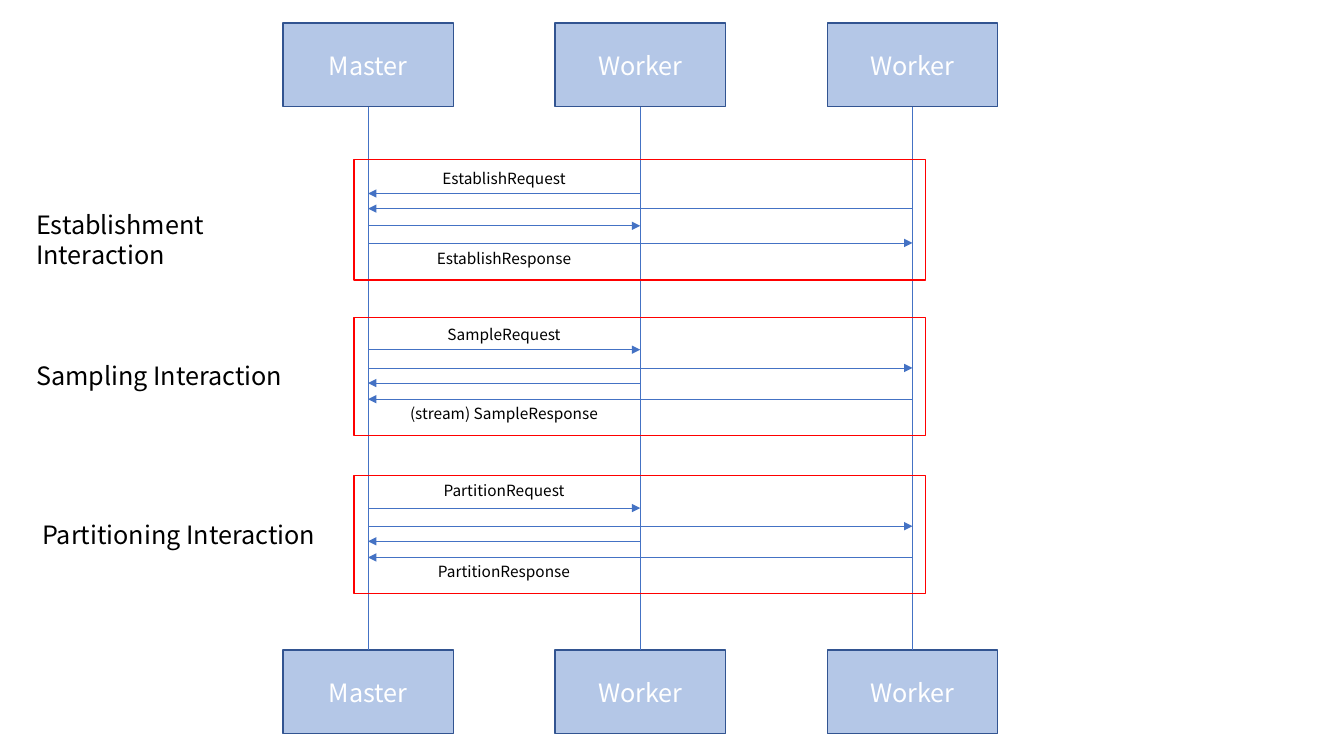
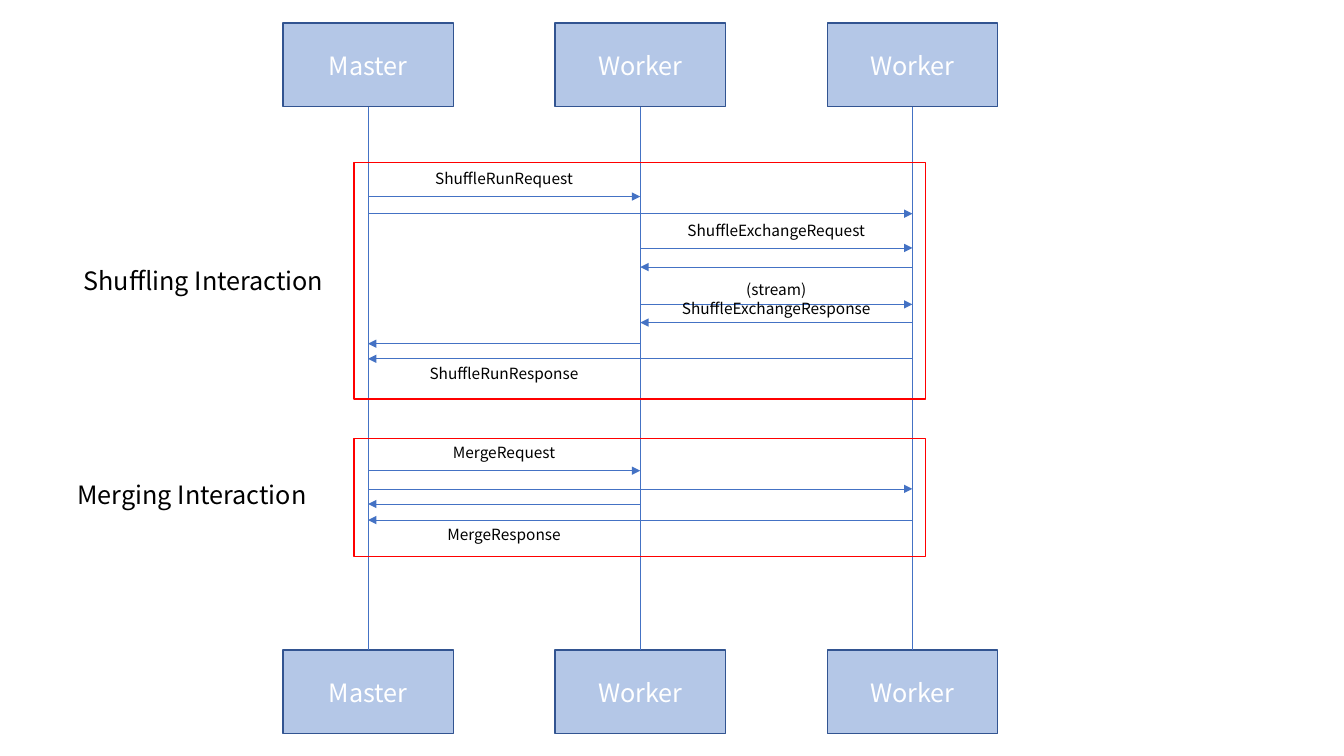
from lxml import etree
from pptx import Presentation
from pptx.dml.color import RGBColor
from pptx.enum.shapes import MSO_CONNECTOR, MSO_SHAPE
from pptx.enum.text import MSO_ANCHOR, PP_ALIGN
from pptx.oxml.ns import qn
from pptx.util import Inches, Pt

STRAIGHT = MSO_CONNECTOR.STRAIGHT
RECTANGLE = MSO_SHAPE.RECTANGLE
TOP, MIDDLE = MSO_ANCHOR.TOP, MSO_ANCHOR.MIDDLE
LEFT, CENTER = PP_ALIGN.LEFT, PP_ALIGN.CENTER

COLORS = {
    "box": "B4C7E7",
    "box_line": "325491",
    "message": "4472C4",
    "frame": "FF0000",
    "text": "000000",
    "box_text": "FFFFFF",
}
FONT = "Noto Sans CJK KR"
GRID = 0.1
LANE_START, LANE_GAP = 36.5, 27
BOX_WIDTH, BOX_HEIGHT = 16.9, 8.3
BOX_ROWS = (2.3, 64.5)
FRAME_LEFT, FRAME_WIDTH, FRAME_HEIGHT = 35.1, 56.7, 11.7
MASTER, NEAR, FAR = range(3)
ROLES = ("Master", "Worker", "Worker")

ROUND_TRIP = (
    (MASTER, NEAR, 3.2),
    (MASTER, FAR, 5),
    (NEAR, MASTER, 6.5),
    (FAR, MASTER, 8.1),
)
ESTABLISH = (
    (NEAR, MASTER, 3.4),
    (FAR, MASTER, 4.9),
    (MASTER, NEAR, 6.6),
    (MASTER, FAR, 8.3),
)
SHUFFLE = (
    (MASTER, NEAR, 3.4),
    (MASTER, FAR, 5.1),
    (NEAR, FAR, 8.5),
    (FAR, NEAR, 10.4),
    (NEAR, FAR, 14.1),
    (FAR, NEAR, 15.9),
    (NEAR, MASTER, 18),
    (FAR, MASTER, 19.5),
)


def cells(count):
    return Inches(count * GRID)


def lane(index):
    return LANE_START + index * LANE_GAP


def write(shape, text, size=18, color="text", align=LEFT, anchor=TOP):
    frame = shape.text_frame
    frame.word_wrap = True
    frame.vertical_anchor = anchor
    para = frame.paragraphs[0]
    para.alignment = align
    span = para.add_run()
    span.text = text
    span.font.name = FONT
    span.font.size = Pt(size)
    span.font.color.rgb = RGBColor.from_string(COLORS[color])
    properties = span.font._element
    for tag in ("a:ea", "a:cs"):
        etree.SubElement(properties, qn(tag)).set("typeface", FONT)


class SequenceDeck:
    def __init__(self):
        self.deck = Presentation()
        self.deck.slide_width = Inches(13.33)
        self.deck.slide_height = Inches(7.5)
        self.shapes = None

    def page(self):
        self.shapes = self.deck.slides.add_slide(self.deck.slide_layouts[6]).shapes
        for index, role in enumerate(ROLES):
            for row in BOX_ROWS:
                box = self.rectangle(lane(index) - BOX_WIDTH / 2, row,
                                     BOX_WIDTH, BOX_HEIGHT, "box_line", "box")
                write(box, role, color="box_text", align=CENTER, anchor=MIDDLE)
            self.line(lane(index), BOX_ROWS[0] + BOX_HEIGHT, lane(index), BOX_ROWS[1])

    def rectangle(self, left, top, width, height, line, fill=None):
        box = self.shapes.add_shape(RECTANGLE, *map(cells, (left, top, width, height)))
        box.shadow.inherit = False
        if fill:
            box.fill.solid()
            box.fill.fore_color.rgb = RGBColor.from_string(COLORS[fill])
        else:
            box.fill.background()
        box.line.color.rgb = RGBColor.from_string(COLORS[line])
        box.line.width = Pt(1)
        return box

    def line(self, left, top, right, bottom, arrow=False):
        line = self.shapes.add_connector(STRAIGHT, *map(cells, (left, top, right, bottom)))
        line.line.color.rgb = RGBColor.from_string(COLORS["message"])
        line.line.width = Pt(0.5)
        if arrow:
            etree.SubElement(line.line._get_or_add_ln(), qn("a:tailEnd")).set("type", "triangle")
        etree.SubElement(line._element.spPr, qn("a:effectLst"))

    def text(self, left, top, width, height, text, **style):
        box = self.shapes.add_textbox(*map(cells, (left, top, width, height)))
        write(box, text, **style)

    def label(self, start, row, text):
        self.text(lane(start), row, LANE_GAP, 2.9, text, size=11, align=CENTER)

    def heading(self, left, top, text, width=31.7):
        self.text(left, top, width, 4, text)

    def exchange(self, top, messages, labels, height=FRAME_HEIGHT):
        for start, end, offset in messages:
            self.line(lane(start), top + offset, lane(end), top + offset, arrow=True)
        for start, offset, text in labels:
            self.label(start, top + offset, text)
        self.rectangle(FRAME_LEFT, top, FRAME_WIDTH, height, "frame")


def main():
    sequence = SequenceDeck()

    sequence.page()
    sequence.exchange(15.8, ESTABLISH, (
        (MASTER, 0.5, "EstablishRequest"),
        (MASTER, 8.4, "EstablishResponse"),
    ), height=12)
    sequence.exchange(31.5, ROUND_TRIP, (
        (MASTER, 0.3, "SampleRequest"),
        (MASTER, 8.1, "(stream) SampleResponse"),
    ))
    sequence.exchange(47.2, ROUND_TRIP, (
        (MASTER, 0, "PartitionRequest"),
        (MASTER, 8.1, "PartitionResponse"),
    ))
    sequence.heading(2.6, 20.3, "Establishment Interaction")
    sequence.heading(2.6, 35.3, "Sampling Interaction")
    sequence.heading(3.2, 51, "Partitioning Interaction")

    sequence.page()
    sequence.exchange(16.1, SHUFFLE, (
        (MASTER, 0.2, "ShuffleRunRequest"),
        (NEAR, 5.3, "ShuffleExchangeRequest"),
        (NEAR, 11.2, "(stream) ShuffleExchangeResponse"),
        (MASTER, 19.5, "ShuffleRunResponse"),
    ), height=23.5)
    sequence.exchange(43.5, ROUND_TRIP, (
        (MASTER, 0, "MergeRequest"),
        (MASTER, 8.1, "MergeResponse"),
    ))
    sequence.heading(7.3, 25.8, "Shuffling Interaction", width=27.1)
    sequence.heading(6.7, 47.1, "Merging Interaction", width=27.1)

    sequence.deck.save("out.pptx")


if __name__ == "__main__":
    main()
